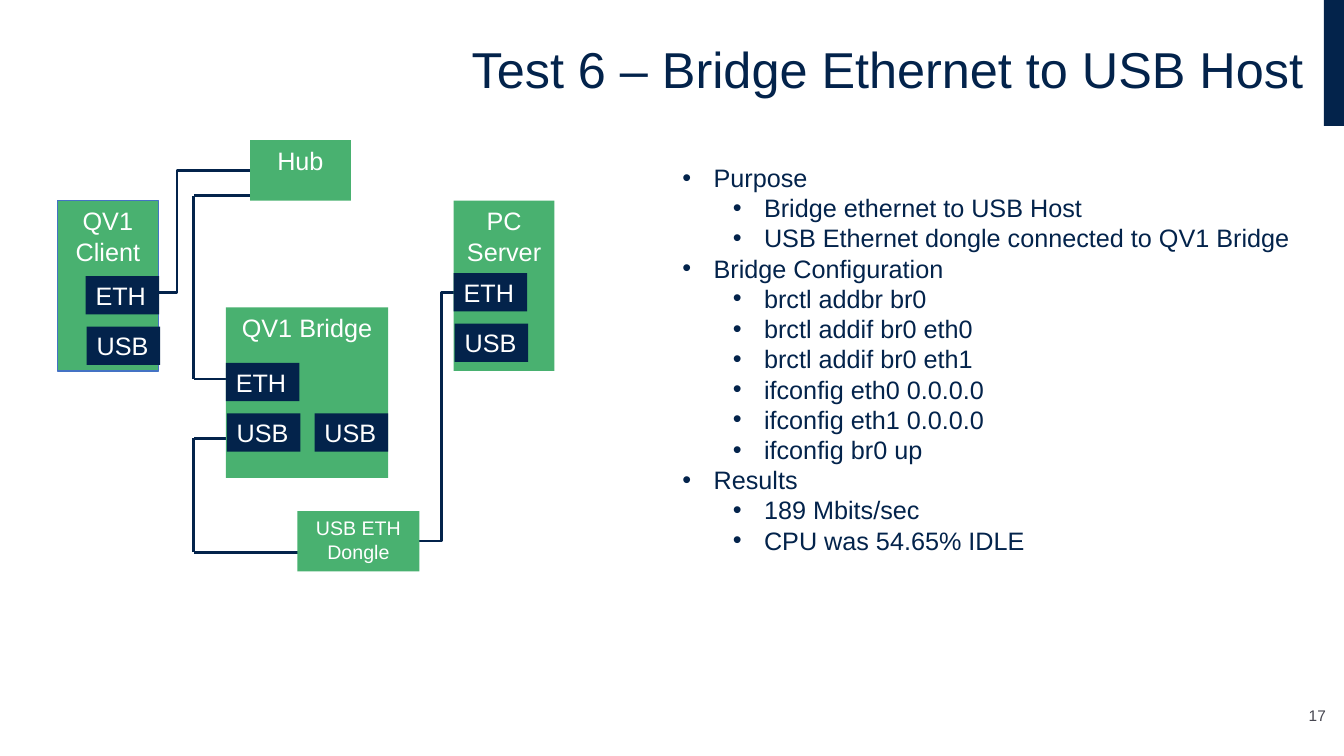
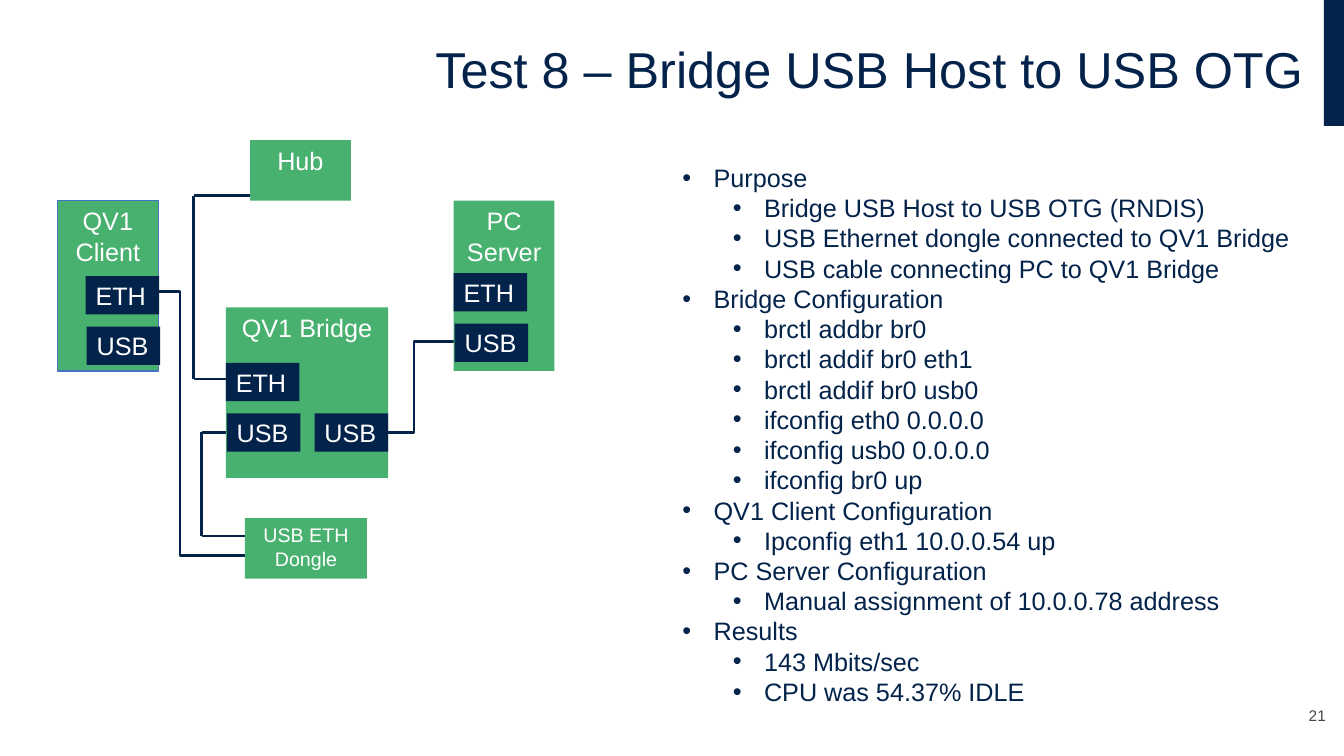
from lxml.etree import SubElement
from pptx import Presentation
from pptx.dml.color import RGBColor
from pptx.enum.shapes import MSO_CONNECTOR, MSO_SHAPE
from pptx.enum.text import MSO_ANCHOR, MSO_AUTO_SIZE, PP_ALIGN
from pptx.oxml.ns import qn
from pptx.util import Inches, Pt

NAVY = RGBColor(0x03, 0x23, 0x4B)
GREEN = RGBColor(0x49, 0xB1, 0x70)
BLUE = RGBColor(0x44, 0x72, 0xC4)
GRAY = RGBColor(0x46, 0x46, 0x50)
WHITE = RGBColor(0xFF, 0xFF, 0xFF)
FONT = "Arial"

DIAGRAM_BOX = (0.57, 1.39)
PORT_SIZE = (0.73, 0.38)
SECOND_PORT = (0.01, 0.5)
RAIL = 1.35
HUB_TO_BRIDGE = (RAIL, (1.95, 0.55), (1.95, 2.37))


def style(paragraph, size, color, align=PP_ALIGN.LEFT):
    """Give a paragraph its alignment and its runs their font."""
    paragraph.alignment = align
    for run in paragraph.runs:
        run.font.name = FONT
        run.font.size = Pt(size)
        run.font.color.rgb = color


def add_text(slide, box, text, size, color, anchor):
    """Add one right-aligned line of text and return its frame."""
    frame = slide.shapes.add_textbox(*map(Inches, box)).text_frame
    frame.word_wrap = True
    frame.vertical_anchor = anchor
    frame.text = text
    style(frame.paragraphs[0], size, color, PP_ALIGN.RIGHT)
    return frame


def add_block(slide, box, fill, text="", size=18, align=PP_ALIGN.CENTER,
              anchor=MSO_ANCHOR.TOP, outline=None):
    """Add a filled rectangle with a white label."""
    block = slide.shapes.add_shape(MSO_SHAPE.RECTANGLE, *map(Inches, box))
    block.shadow.inherit = False
    block.fill.solid()
    block.fill.fore_color.rgb = fill
    if outline:
        block.line.color.rgb = outline
        block.line.width = Pt(1)
    else:
        block.line.fill.background()
    block.text_frame.text = text
    block.text_frame.vertical_anchor = anchor
    style(block.text_frame.paragraphs[0], size, WHITE, align)


def add_frame(slide, title, number):
    """Add the corner band, title and page number that every slide has."""
    add_block(slide, (13.13, 0, 0.2, 1.25), NAVY)
    heading = add_text(slide, (0.33, 0, 12.7, 1.43), title, 36, NAVY, MSO_ANCHOR.MIDDLE)
    heading.paragraphs[0].line_spacing = 0.9
    page = add_text(slide, (12.7, 6.92, 0.45, 0.32), number, 11, GRAY, MSO_ANCHOR.BOTTOM)
    page.margin_left = page.margin_right = 0


def add_wire(slide, origin, start, end, kind=MSO_CONNECTOR.STRAIGHT):
    """Draw a connector between two points measured from the origin."""
    ends = [Inches(base + offset) for point in (start, end)
            for base, offset in zip(origin, point)]
    wire = slide.shapes.add_connector(kind, *ends)
    wire.line.color.rgb = NAVY
    wire.line.width = Pt(1.75)
    SubElement(wire._element.spPr, qn("a:effectLst"))


def add_bracket(slide, origin, rail, upper, lower):
    """Join two points through a vertical rail on their left."""
    corners = [(rail, upper[1]), (rail, lower[1])]
    add_wire(slide, origin, upper, corners[0])
    add_wire(slide, origin, *corners)
    add_wire(slide, origin, lower, corners[1])


def add_node(slide, origin, place, size, name, ports=(), font_size=18, outline=None):
    """Add a device, with its ports placed from the device's corner."""
    left, top = (base + offset for base, offset in zip(origin, place))
    add_block(slide, (left, top, *size), GREEN, name, font_size, outline=outline)
    for label, x, y in ports:
        add_block(slide, (left + x, top + y, *PORT_SIZE), NAVY, label,
                  align=PP_ALIGN.LEFT, anchor=MSO_ANCHOR.MIDDLE)


def port_pair(x, y):
    """Return an ETH port with a USB port below it."""
    return [("ETH", x, y), ("USB", x + SECOND_PORT[0], y + SECOND_PORT[1])]


def add_diagram(slide, origin, dongle, brackets, elbows):
    """Draw the network: wires first, then the devices on top."""
    for bracket in brackets:
        add_bracket(slide, origin, *bracket)
    for start, end in elbows:
        add_wire(slide, origin, start, end, MSO_CONNECTOR.ELBOW)
    bridge_ports = port_pair(0, 0.55) + [("USB", 0.88, 1.05)]
    add_node(slide, origin, (1.67, 1.66), (1.61, 1.69), "QV1 Bridge", bridge_ports)
    add_node(slide, origin, (0, 0.6), (1, 1.69), "QV1 Client",
             port_pair(0.28, 0.75), outline=BLUE)
    add_node(slide, origin, dongle, (1.21, 0.6), "USB ETH Dongle", font_size=14)
    add_node(slide, origin, (3.93, 0.6), (1, 1.69), "PC Server", port_pair(0, 0.72))
    add_node(slide, origin, (1.91, 0), (1, 0.6), "Hub")


def add_notes_list(slide, box, sections):
    """List each heading with its points as bullets on two levels."""
    frame = slide.shapes.add_textbox(*map(Inches, box)).text_frame
    frame.word_wrap = False
    frame.auto_size = MSO_AUTO_SIZE.SHAPE_TO_FIT_TEXT
    lines = [(text, level) for heading, points in sections
             for text, level in [(heading, 0)] + [(point, 1) for point in points]]
    for index, (text, level) in enumerate(lines):
        paragraph = frame.add_paragraph() if index else frame.paragraphs[0]
        paragraph.text = text
        paragraph.level = level
        style(paragraph, 18, NAVY)
        properties = paragraph._p.get_or_add_pPr()
        properties.set("marL", str(Inches(0.31 + 0.5 * level)))
        properties.set("indent", str(Inches(-0.31)))
        SubElement(properties, qn("a:buFont")).set("typeface", FONT)
        SubElement(properties, qn("a:buChar")).set("char", "•")


def add_test_slide(deck, title, number, sections, list_height, **network):
    """Build one test slide: network on the left, notes on the right."""
    slide = deck.slides.add_slide(deck.slide_layouts[6])
    add_frame(slide, title, number)
    add_diagram(slide, DIAGRAM_BOX, **network)
    add_notes_list(slide, (6.67, 1.56, 6.3, list_height), sections)


def main():
    """Build and save the deck."""
    deck = Presentation()
    deck.slide_width, deck.slide_height = Inches(13.33), Inches(7.5)
    add_test_slide(
        deck, "Test 6 – Bridge Ethernet to USB Host", "17",
        [("Purpose", ["Bridge ethernet to USB Host",
                      "USB Ethernet dongle connected to QV1 Bridge"]),
         ("Bridge Configuration", ["brctl addbr br0", "brctl addif br0 eth0",
                                   "brctl addif br0 eth1", "ifconfig eth0 0.0.0.0",
                                   "ifconfig eth1 0.0.0.0", "ifconfig br0 up"]),
         ("Results", ["189 Mbits/sec", "CPU was 54.65% IDLE"])],
        4.04,
        dongle=(2.38, 3.68),
        brackets=[HUB_TO_BRIDGE, (RAIL, (1.95, 2.96), (2.66, 4.09))],
        elbows=[((4.5, 1.51), (3.12, 3.98)), ((1.93, 0.3), (0.44, 1.51))])
    add_test_slide(
        deck, "Test 8 – Bridge USB Host to USB OTG", "21",
        [("Purpose", ["Bridge USB Host to USB OTG (RNDIS)",
                      "USB Ethernet dongle connected to QV1 Bridge",
                      "USB cable connecting PC to QV1 Bridge"]),
         ("Bridge Configuration", ["brctl addbr br0", "brctl addif br0 eth1",
                                   "brctl addif br0 usb0", "ifconfig eth0 0.0.0.0",
                                   "ifconfig usb0 0.0.0.0", "ifconfig br0 up"]),
         ("QV1 Client Configuration", ["Ipconfig eth1 10.0.0.54 up"]),
         ("PC Server Configuration", ["Manual assignment of 10.0.0.78 address"]),
         ("Results", ["143 Mbits/sec", "CPU was 54.37% IDLE"])],
        5.55,
        dongle=(1.86, 3.75),
        brackets=[HUB_TO_BRIDGE, (1.43, (2.04, 2.9), (2.04, 3.93))],
        elbows=[((4.17, 2), (2.9, 2.9)), ((0.39, 1.5), (2.04, 4.12))])
    deck.save("out.pptx")


main()
